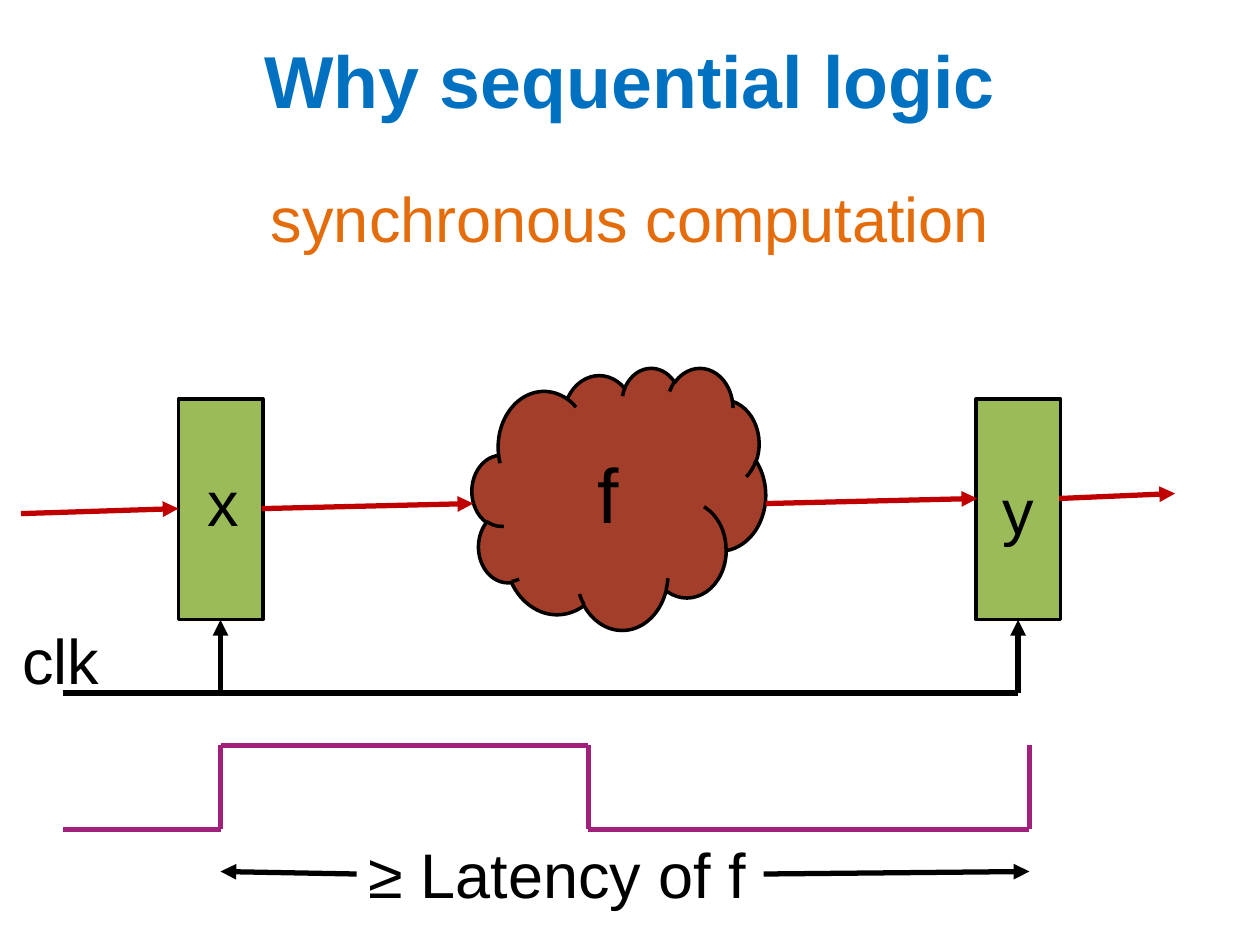
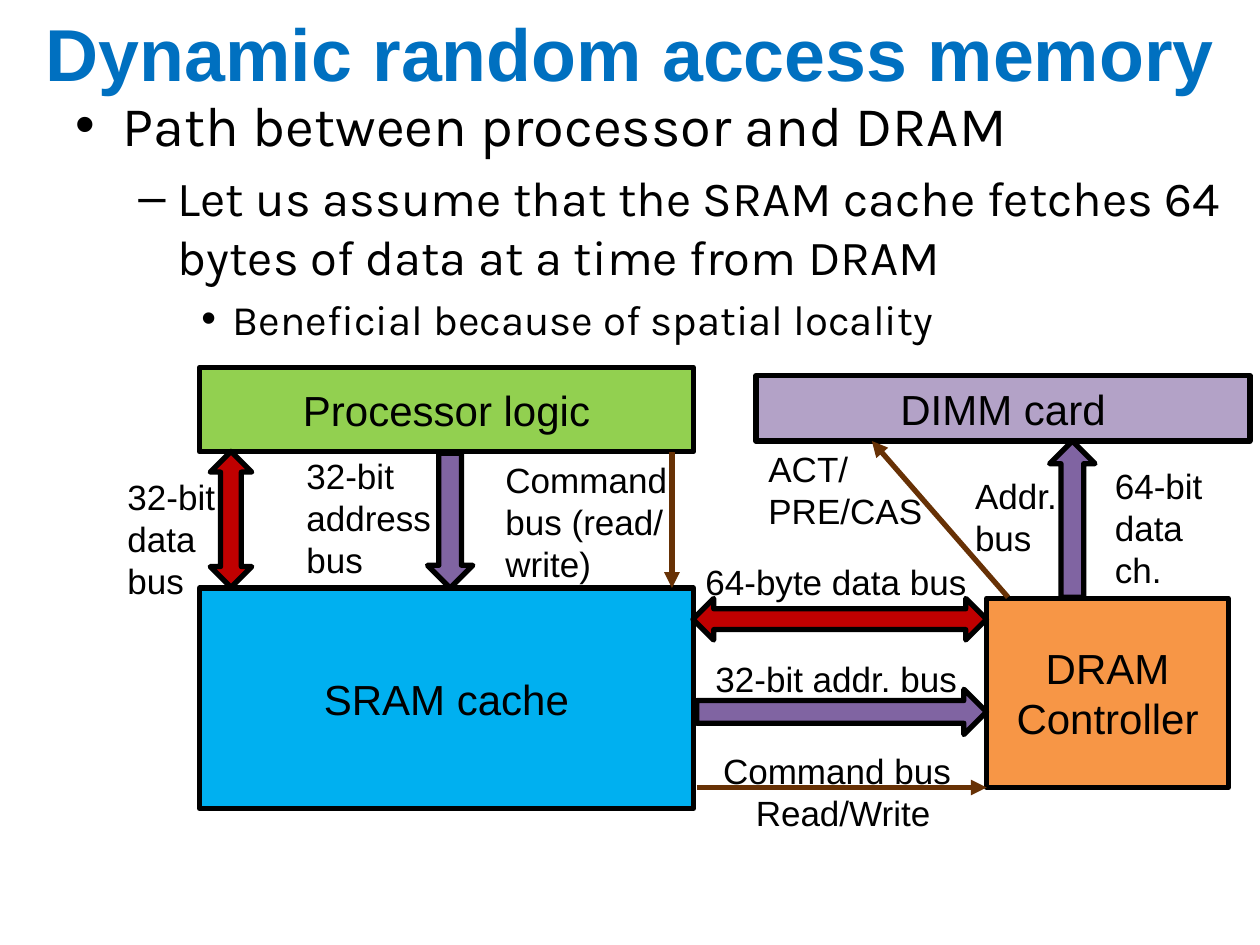
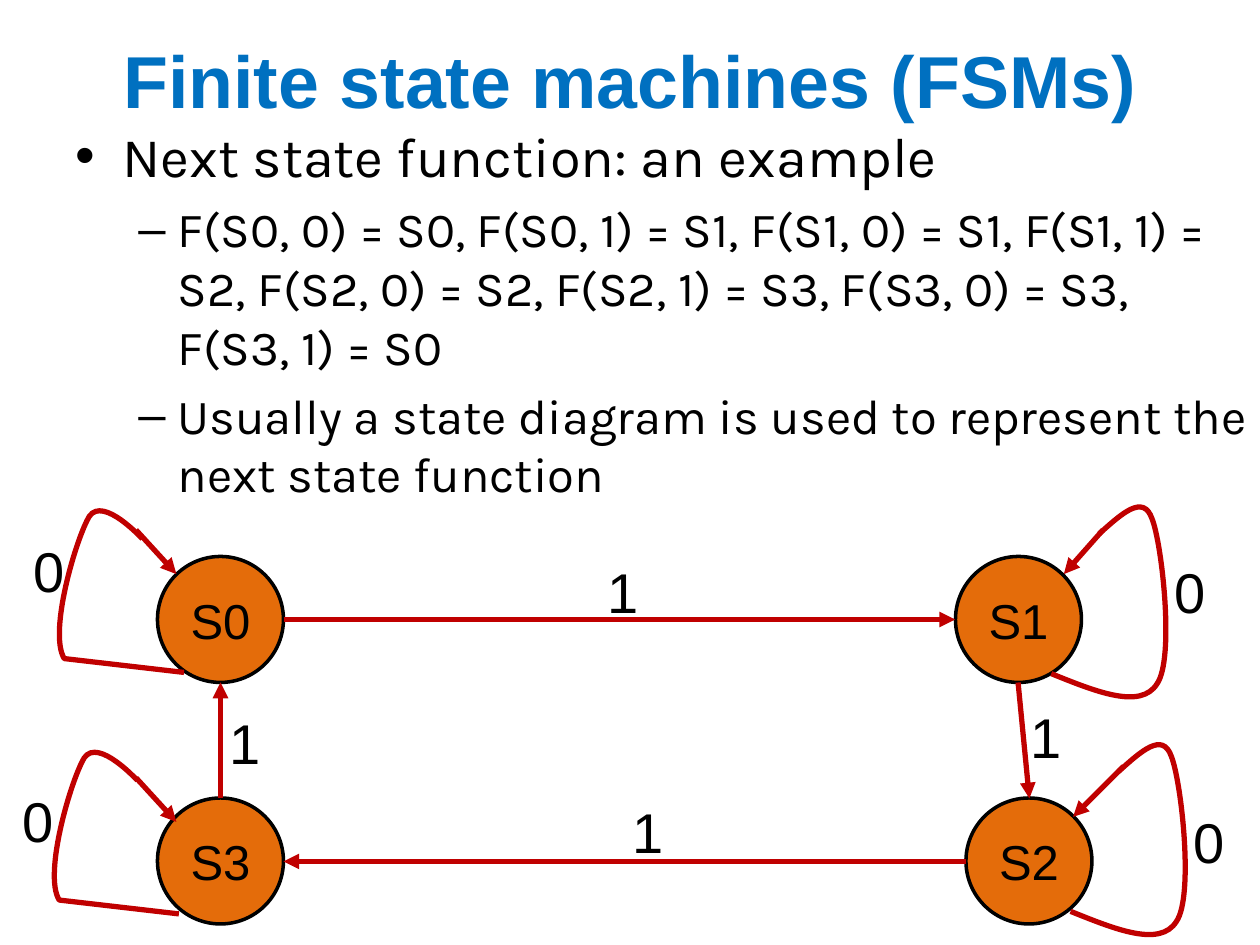
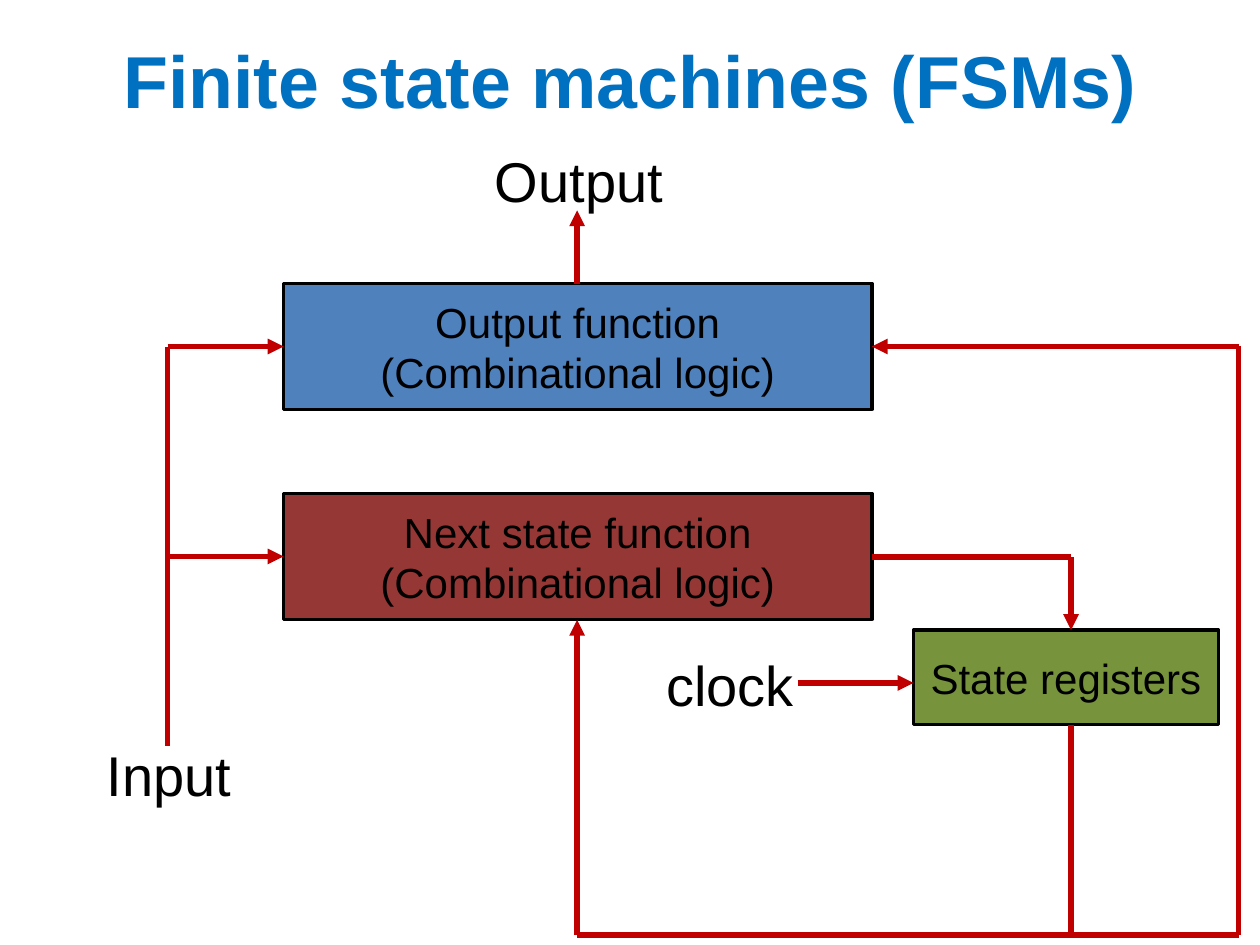
from dataclasses import dataclass
from itertools import pairwise

from lxml.etree import SubElement
from pptx import Presentation
from pptx.dml.color import RGBColor
from pptx.enum.shapes import MSO_CONNECTOR, MSO_SHAPE as SHAPE
from pptx.enum.text import MSO_ANCHOR as ANCHOR, MSO_AUTO_SIZE as FIT, PP_ALIGN as ALIGN
from pptx.oxml.ns import qn
from pptx.util import Inches, Pt

BLACK, TITLE_BLUE, ORANGE = "000000", "0070C0", "E46C0A"
RED, PURPLE, BROWN, MAGENTA = "C00000", "8064A2", "673105", "A0207B"
REGISTER_GREEN = "9BBB59"

# level: (bullet, left margin, hanging indent, size)
BULLETS = [("•", 3 / 8, 3 / 8, 32), ("–", 13 / 16, 5 / 16, 28), ("•", 5 / 4, 1 / 4, 24)]

# Self-loops, relative to the state's circle: the box the curve fills, and
# its start, lines (one point) and cubic curves (two controls and an end).
LEFT_LOOP = ((-0.78, -0.37, 0.99, 1.28), [
    [(0.21, 0.92)],
    [(-0.74, 0.81)],
    [(-0.87, 0.6), (-0.64, -0.16), (-0.54, -0.32)],
    [(-0.43, -0.48), (-0.12, -0.14), (-0.12, -0.14)],
])
RIGHT_LOOP = ((0.76, -0.39, 0.91, 1.51), [
    [(0.76, 0.93)],
    [(1.11, 1.07), (1.47, 1.22), (1.6, 1.01)],
    [(1.74, 0.81), (1.64, -0.1), (1.56, -0.3)],
    [(1.49, -0.5), (1.32, -0.34), (1.14, -0.18)],
])


def colour(hex_value):
    return RGBColor.from_string(hex_value)


def write(frame, text, size, ink=BLACK, align=ALIGN.LEFT, bold=None, font="Arial"):
    """Put each line of text in its own paragraph."""
    for index, line in enumerate(text.split("\n")):
        paragraph = frame.paragraphs[0] if index == 0 else frame.add_paragraph()
        paragraph.alignment = align
        run = paragraph.add_run()
        run.text = line
        for name, value in {"name": font, "size": Pt(size), "bold": bold}.items():
            setattr(run.font, name, value)
        run.font.color.rgb = colour(ink)


def outline(line, ink, weight):
    line.color.rgb = colour(ink)
    line.width = Pt(weight)


@dataclass
class Region:
    """A part of a slide; everything is placed from its top left corner."""
    slide: object
    left: float = 0
    top: float = 0

    def place(self, x, y):
        return Inches(self.left + x), Inches(self.top + y)

    def text_box(self, x, y, width, height, **format_values):
        box = self.slide.shapes.add_textbox(
            *self.place(x, y), Inches(width), Inches(height))
        for name, value in {"word_wrap": True, **format_values}.items():
            setattr(box.text_frame, name, value)
        return box.text_frame

    def label(self, text, x, y, width, size):
        height = 0.1 + len(text.split("\n")) * size * 1.2 / 72
        frame = self.text_box(x, y, width, height, word_wrap=False,
                              auto_size=FIT.SHAPE_TO_FIT_TEXT)
        write(frame, text, size)

    def shape(self, kind, x, y, width, height, fill, weight=3, text="", size=24,
              rotation=0):
        shape = self.slide.shapes.add_shape(
            kind, *self.place(x, y), Inches(width), Inches(height))
        shape.shadow.inherit = False
        shape.rotation = rotation
        shape.fill.solid()
        shape.fill.fore_color.rgb = colour(fill)
        outline(shape.line, BLACK, weight)
        if text:
            shape.text_frame.vertical_anchor = ANCHOR.MIDDLE
            write(shape.text_frame, text, size, align=ALIGN.CENTER)

    def line(self, start, end, ink=RED, arrow=False):
        connector = self.slide.shapes.add_connector(
            MSO_CONNECTOR.STRAIGHT, *self.place(*start), *self.place(*end))
        outline(connector.line, ink, 3)
        properties = connector.element.spPr
        if arrow:
            SubElement(properties.find(qn("a:ln")), qn("a:tailEnd"), type="triangle")
        SubElement(properties, qn("a:effectLst"))

    def arrow(self, start, end, ink=RED):
        self.line(start, end, ink, arrow=True)

    def route(self, *points, ink=RED, arrow=False):
        """Join points by straight lines; an arrow sits on the last one."""
        legs = list(pairwise(points))
        for index, (start, end) in enumerate(legs):
            self.line(start, end, ink, arrow and index == len(legs) - 1)

    def curve(self, box, segments, shift):
        """Draw an open outline of lines and cubic curves that fills the box."""
        left, top, width, height = box
        dx, dy = shift
        builder = self.slide.shapes.build_freeform(*self.place(left + dx, top + dy))
        builder.add_line_segments(
            [self.place(left + dx + width, top + dy + height)], close=False)
        shape = builder.convert_to_shape()
        shape.shadow.inherit = False
        shape.fill.background()
        outline(shape.line, RED, 3)
        outline_path = next(shape.element.iter(qn("a:path")))
        for step in list(outline_path):
            outline_path.remove(step)
        for index, segment in enumerate(segments):
            tag = "a:cubicBezTo" if len(segment) == 3 else "a:lnTo"
            step = SubElement(outline_path, qn(tag if index else "a:moveTo"))
            for x, y in segment:
                SubElement(step, qn("a:pt"), x=str(Inches(x - left)),
                           y=str(Inches(y - top)))


def new_slide(presentation, title, title_height=1.25):
    slide = presentation.slides.add_slide(presentation.slide_layouts[6])
    frame = Region(slide).text_box(0, 0, 10, title_height,
                                   vertical_anchor=ANCHOR.MIDDLE)
    write(frame, title, 42, TITLE_BLUE, ALIGN.CENTER, bold=True)
    return slide


def bullet_list(region, width, height, items):
    frame = region.text_box(0, 0, width, height)
    for index, (level, text) in enumerate(items):
        bullet, margin, hanging, size = BULLETS[level]
        if index:
            frame.add_paragraph()
        paragraph = frame.paragraphs[-1]
        for name, value in {"level": level, "space_before": Pt(size * 0.2)}.items():
            setattr(paragraph, name, value)
        run = paragraph.add_run()
        run.text = text
        for name, value in {"name": "Karla", "size": Pt(size)}.items():
            setattr(run.font, name, value)
        run.font.color.rgb = colour(BLACK)
        properties = paragraph._p.get_or_add_pPr()
        properties.set("marL", str(Inches(margin)))
        properties.set("indent", str(-Inches(hanging)))
        SubElement(properties, qn("a:buFont"), typeface="Arial")
        SubElement(properties, qn("a:buChar"), char=bullet)


# Sequential logic

def register_pipeline(region):
    region.shape(SHAPE.CLOUD, 3.58, 0, 2.33, 2.08, "A23E2A", 2, "f", 44)
    region.shape(SHAPE.RECTANGLE, 1.25, 0.25, 0.67, 1.75, REGISTER_GREEN, 2)
    region.shape(SHAPE.RECTANGLE, 7.58, 0.25, 0.67, 1.75, REGISTER_GREEN, 2, "y", 36)
    region.label("x", 1.38, 0.71, 0.45, 36)
    for start, end in [((0, 1.16), (1.25, 1.12)), ((1.91, 1.12), (3.59, 1.08)),
                       ((5.91, 1.08), (7.59, 1.04)), ((8.24, 1.04), (9.16, 1))]:
        region.arrow(start, end)


def clock_line(region):
    region.line((0, 0), (7.58, 0), BLACK)
    for x in (1.25, 7.58):
        region.arrow((x, 0), (x, -0.58), BLACK)
    region.label("clk", -0.42, -0.62, 0.82, 36)


def clock_wave(region):
    high, low = 0, 2 / 3
    region.route((0, low), (1.25, low), (1.25, high), (4.17, high), (4.17, low),
                 (7.67, low), (7.67, high), ink=MAGENTA)
    region.label("≥ Latency of f", 2.33, low, 3.23, 36)
    region.arrow((5.56, 1.02), (7.67, 1), BLACK)
    region.arrow((2.33, 1.02), (1.25, 1), BLACK)


def sequential_logic(presentation):
    slide = new_slide(presentation, "Why sequential logic")
    subtitle = Region(slide).text_box(0, 11 / 8, 10, 0.71)
    write(subtitle, "synchronous computation", 36, ORANGE, ALIGN.CENTER)
    register_pipeline(Region(slide, 1 / 6, 35 / 12))
    clock_line(Region(slide, 0.5, 5.5))
    clock_wave(Region(slide, 0.5, 71 / 12))


# Memory path

def processor_and_cache(region):
    region.shape(SHAPE.RECTANGLE, 0, 0, 3.92, 0.67, "92D050", text="Processor logic")
    region.shape(SHAPE.RECTANGLE, 0, 1.75, 3.92, 1.75, "00B0F0", text="SRAM cache")
    region.shape(SHAPE.DOWN_ARROW, 1.81, 0.68, 0.36, 1.07, PURPLE)
    region.arrow((3.75, 0.67), (3.75, 1.75), BROWN)
    region.shape(SHAPE.LEFT_RIGHT_ARROW, -0.29, 1.04, 1.08, 0.33, RED, rotation=270)
    region.label("32-bit\ndata\nbus", -0.67, 0.81, 0.9, 20)
    region.label("32-bit\naddress\nbus", 0.75, 0.64, 1.2, 20)
    region.label("Command\nbus (read/\nwrite)", 2.33, 0.67, 1.5, 20)


def controller_buses(region):
    region.shape(SHAPE.RECTANGLE, 2.33, 0, 1.92, 1.5, "F79646", text="DRAM\nController")
    region.shape(SHAPE.LEFT_RIGHT_ARROW, 0, 0, 2.33, 0.33, RED)
    region.shape(SHAPE.DOWN_ARROW, 1, -0.25, 0.36, 2.3, PURPLE, rotation=270)
    region.arrow((0.03, 1.5), (2.33, 1.5), BROWN)
    for text, x, y, width in [("64-byte data bus", 0, -0.35, 2.29),
                              ("32-bit addr. bus", 0.08, 0.42, 2.13),
                              ("Command bus", 0.14, 1.15, 2.03),
                              ("Read/Write", 0.4, 1.48, 1.6)]:
        region.label(text, x, y, width, 20)


def dimm_channel(region):
    region.shape(SHAPE.RECTANGLE, 0, 0, 3.92, 0.52, "B3A2C7", text="DIMM card")
    region.shape(SHAPE.DOWN_ARROW, 2.33, 0.52, 0.36, 1.24, PURPLE, rotation=180)
    region.label("ACT/\nPRE/CAS", 0, 0.52, 1.44, 20)
    region.label("64-bit\ndata\nch.", 2.75, 0.66, 0.9, 20)
    region.label("Addr.\nbus", 1.64, 0.74, 0.86, 20)
    region.arrow((2, 1.76), (0.92, 0.52), BROWN)


def memory_path(presentation):
    slide = new_slide(presentation, "Dynamic random access memory", 0.83)
    bullet_list(Region(slide, 0.5, 2 / 3), 9.5, 6.83, [
        (0, "Path between processor and DRAM"),
        (1, "Let us assume that the SRAM cache fetches 64 bytes of data at a time "
            "from DRAM"),
        (2, "Beneficial because of spatial locality"),
    ])
    processor_and_cache(Region(slide, 19 / 12, 35 / 12))
    controller_buses(Region(slide, 5.5, 4.75))
    dimm_channel(Region(slide, 6, 2.98))


# State machines

def state(region, name, loop, shift, arrow, label):
    """Draw a state with its self-loop."""
    region.shape(SHAPE.OVAL, 0, 0, 1, 1, ORANGE, 2, name, 28)
    region.curve(*loop, shift)
    region.arrow(*arrow)
    region.label("0", *label, 0.45, 32)


def transitions(region):
    for start, end, label in [((1, 0.5), (6.33, 0.5), (3.47, -0.04)),
                              ((6.83, 1), (6.92, 1.92), (6.83, 1.11)),
                              ((6.42, 2.42), (1, 2.42), (3.67, 1.86)),
                              ((0.5, 1.92), (0.5, 1), (0.47, 1.16))]:
        region.arrow(start, end)
        region.label("1", *label, 0.45, 32)


def state_diagram(presentation):
    slide = new_slide(presentation, "Finite state machines (FSMs)")
    bullet_list(Region(slide, 0.5, 11 / 12), 9.5, 6.58, [
        (0, "Next state function: an example"),
        (1, "F(S0, 0) = S0, F(S0, 1) = S1, F(S1, 0) = S1, F(S1, 1) = S2, "
            "F(S2, 0) = S2, F(S2, 1) = S3, F(S3, 0) = S3, F(S3, 1) = S0"),
        (1, "Usually a state diagram is used to represent the next state function"),
    ])
    upper, lower = 53 / 12, 19 / 3
    state(Region(slide, 1.25, upper), "S0", LEFT_LOOP, (0, 0),
          ((-0.17, -0.21), (0.15, 0.14)), (-1.08, -0.21))
    state(Region(slide, 1.25, lower), "S3", LEFT_LOOP, (-0.04, 0),
          ((-0.17, -0.16), (0.15, 0.19)), (-1.17, -0.14))
    state(Region(slide, 91 / 12, upper), "S1", RIGHT_LOOP, (0, 0),
          ((1.17, -0.21), (0.86, 0.14)), (1.64, -0.04))
    state(Region(slide, 23 / 3, lower), "S2", RIGHT_LOOP, (0.07, -0.03),
          ((1.25, -0.25), (0.85, 0.15)), (1.71, 0.03))
    transitions(Region(slide, 1.25, upper))


def logic_blocks(region):
    for y, fill, name in [(0, "4F81BD", "Output function"),
                          (5 / 3, "953735", "Next state function")]:
        region.shape(SHAPE.RECTANGLE, 0, y, 4.67, 1, fill, 2,
                     f"{name}\n(Combinational logic)")
        region.arrow((-0.92, y + 0.5), (0, y + 0.5))
    region.line((-0.92, 0.5), (-0.92, 3.67))
    region.label("Input", -1.5, 3.58, 1.2, 32)
    region.arrow((2.33, 0), (2.33, -0.58))
    region.label("Output", 1.58, -1.14, 1.55, 32)


def state_registers(region):
    region.shape(SHAPE.RECTANGLE, 0, 0, 2.42, 0.75, "77933C", 2, "State registers")
    region.arrow((-0.92, 0.42), (0, 0.42))
    region.label("clock", -2.06, 0.11, 1.22, 32)
    region.route((-0.33, -0.58), (1.25, -0.58), (1.25, 0), arrow=True)
    region.route((1.25, 0.75), (1.25, 2.42), (-2.67, 2.42), (-2.67, -0.08), arrow=True)
    region.route((1.25, 2.42), (2.58, 2.42), (2.58, -2.25), (-0.33, -2.25), arrow=True)


def state_hardware(presentation):
    slide = new_slide(presentation, "Finite state machines (FSMs)")
    logic_blocks(Region(slide, 2.25, 2.25))
    state_registers(Region(slide, 7.25, 5))


def main():
    presentation = Presentation()
    presentation.slide_width, presentation.slide_height = Inches(10), Inches(7.5)
    for build in (sequential_logic, memory_path, state_diagram, state_hardware):
        build(presentation)
    presentation.save("out.pptx")


if __name__ == "__main__":
    main()
